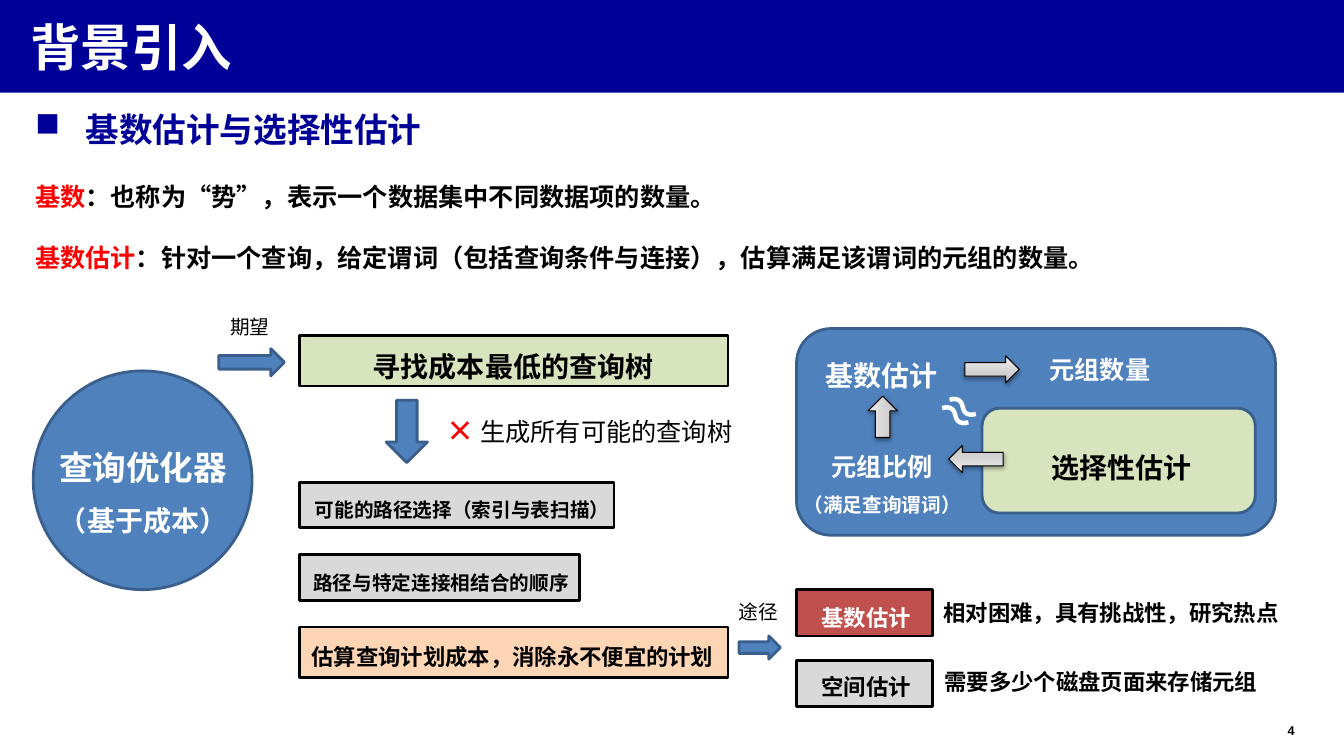
from dataclasses import dataclass
from typing import Optional, Union

from lxml.etree import SubElement
from pptx import Presentation
from pptx.dml.color import RGBColor
from pptx.enum.shapes import MSO_SHAPE as SHAPE
from pptx.enum.text import MSO_ANCHOR, MSO_AUTO_SIZE, PP_ALIGN
from pptx.oxml import parse_xml
from pptx.oxml.ns import nsdecls, qn
from pptx.util import Inches, Pt

COLORS = {
    "navy": "000099", "white": "FFFFFF", "black": "000000", "red": "FF0000",
    "blue": "4F81BD", "edge": "3A5F8C", "gray": "D9D9D9", "peach": "FCD5B5",
    "green": "D7E4BD", "brick": "C0504D",
}
CJK = "Noto Sans CJK SC"
CENTER = PP_ALIGN.CENTER
GRAD = f"""<a:gradFill {nsdecls("a")} rotWithShape="1"><a:gsLst>
<a:gs pos="0"><a:srgbClr val="BDBDBD"/></a:gs>
<a:gs pos="35000"><a:srgbClr val="D1D1D1"/></a:gs>
<a:gs pos="100000"><a:srgbClr val="EEEEEE"/></a:gs>
</a:gsLst><a:lin ang="16200000" scaled="0"/></a:gradFill>"""
SHADOW = f"""<a:effectLst {nsdecls("a")}>
<a:outerShdw blurRad="40000" dist="20000" dir="5400000" rotWithShape="0">
<a:srgbClr val="000000"><a:alpha val="38000"/></a:srgbClr>
</a:outerShdw></a:effectLst>"""

Area = tuple[float, float, float, float]


@dataclass
class Run:
    text: str
    size: Optional[float] = None
    color: Optional[str] = None
    bold: Optional[bool] = None
    font: Optional[str] = None


@dataclass
class Block:
    kind: SHAPE
    at: Area
    fill: str
    line: str = "edge"


@dataclass
class Label:
    at: Area
    text: Union[str, list[list[Run]]]
    size: float
    color: str = "black"
    bold: bool = True
    font: str = CJK
    align: Optional[PP_ALIGN] = None
    gap: Union[float, Pt, None] = None
    turn: float = 0


def rgb(name: str) -> RGBColor:
    return RGBColor.from_string(COLORS[name])


def write(frame, text, *, size=18, color="black", bold=True, font=CJK,
          align=None, gap=None, bullet=None, inset=None) -> None:
    """Fill a text frame; text is a string or a list of lists of runs."""
    frame.word_wrap = True
    frame.auto_size = MSO_AUTO_SIZE.SHAPE_TO_FIT_TEXT
    if inset is not None:
        frame.margin_left = Inches(inset)
        frame.margin_right = frame.margin_top = frame.margin_bottom = 0
    paras = [[Run(text)]] if isinstance(text, str) else text
    for i, runs in enumerate(paras):
        para = frame.add_paragraph() if i else frame.paragraphs[0]
        para.alignment = align
        if gap is not None:
            para.line_spacing = gap
        if bullet:
            props = para._p.get_or_add_pPr()
            props.set("marL", str(Inches(0.5)))
            props.set("indent", str(-Inches(0.5)))
            SubElement(props, qn("a:buChar")).set("char", bullet)
        for item in runs:
            run = para.add_run()
            run.text = item.text
            run.font.size = Pt(item.size or size)
            run.font.bold = bold if item.bold is None else item.bold
            run.font.color.rgb = rgb(item.color or color)
            run.font.name = item.font or font
            SubElement(run._r.get_or_add_rPr(), qn("a:ea")).set("typeface", CJK)


def place(shape, at: Area) -> None:
    shape.left, shape.top, shape.width, shape.height = map(Inches, at)


def draw(slide, block: Block):
    shape = slide.shapes.add_shape(block.kind, *map(Inches, block.at))
    shape.shadow.inherit = False
    shape.fill.solid()
    shape.fill.fore_color.rgb = rgb(block.fill)
    shape.line.color.rgb = rgb(block.line)
    shape.line.width = Pt(2)
    return shape


def gloss(slide, at: Area, turn: float) -> None:
    """Draw a silver arrow with a soft shadow."""
    shape = draw(slide, Block(SHAPE.RIGHT_ARROW, at, "gray", "black"))
    shape.line.width = Pt(0.75)
    shape.rotation = turn
    props = shape._element.spPr
    for tag, xml in (("a:solidFill", GRAD), ("a:effectLst", SHADOW)):
        props.replace(props.find(qn(tag)), parse_xml(xml))


def label(slide, item: Label, **more) -> None:
    box = slide.shapes.add_textbox(*map(Inches, item.at))
    box.rotation = item.turn
    write(box.text_frame, item.text, size=item.size, color=item.color,
          bold=item.bold, font=item.font, align=item.align, gap=item.gap, **more)


def term(word: str, text: str) -> list[list[Run]]:
    return [[Run(word, color="red"), Run(text, font="Calibri")]]


BLOCKS = [
    # Optimizer and its goal
    Block(SHAPE.OVAL, (0.33, 3.68, 2.17, 2.17), "blue"),
    Block(SHAPE.RIGHT_ARROW, (2.17, 3.46, 0.65, 0.27), "blue"),
    Block(SHAPE.RECTANGLE, (2.97, 3.33, 4.25, 0.5), "green", "black"),
    Block(SHAPE.DOWN_ARROW, (3.83, 3.97, 0.41, 0.62), "blue"),
    # Plan steps
    Block(SHAPE.RECTANGLE, (2.97, 4.79, 3.12, 0.44), "gray", "black"),
    Block(SHAPE.RECTANGLE, (2.97, 5.5, 2.78, 0.46), "gray", "black"),
    Block(SHAPE.RECTANGLE, (2.97, 6.22, 4.25, 0.5), "peach", "black"),
    # Ways to estimate
    Block(SHAPE.RIGHT_ARROW, (7.33, 6.31, 0.41, 0.23), "blue"),
    Block(SHAPE.RECTANGLE, (7.9, 5.85, 1.35, 0.46), "brick", "black"),
    Block(SHAPE.RECTANGLE, (7.9, 6.55, 1.35, 0.46), "gray", "black"),
    # Estimation panel
    Block(SHAPE.ROUNDED_RECTANGLE, (7.9, 3.26, 4.75, 2.05), "blue"),
    Block(SHAPE.ROUNDED_RECTANGLE, (9.74, 4.05, 2.71, 1.04), "green"),
]
ARROWS = [((9.41, 4.42, 0.54, 0.27), 180), ((8.55, 3.99, 0.41, 0.29), 270),
          ((9.57, 3.53, 0.54, 0.27), 0)]
LABELS = [
    # Definitions
    Label((0.25, 1.75, 9.42, 0.4),
          term("基数", "：也称为“势”，表示一个数据集中不同数据项的数量。"), 18),
    Label((0.25, 2.35, 10.83, 0.4),
          term("基数估计", "：针对一个查询，给定谓词（包括查询条件与连接），估算满足该谓词的元组的数量。"), 18),
    # Optimizer and its goal
    Label((0.43, 4.18, 1.98, 1.16), [[Run("查询优化器")], [Run("（基于成本）", 20)]],
          24, "white", align=CENTER, gap=1.5),
    Label((1.58, 3.08, 1.8, 0.34), "期望", 14, bold=False, align=CENTER),
    Label((2.81, 3.25, 4.56, 0.55), "寻找成本最低的查询树", 20, align=CENTER, gap=1.5),
    Label((4.33, 4.05, 3.09, 0.44),
          [[Run("×", 20, "red", True), Run(" ", color="red"),
            Run("生成所有可能的查询树", font="Calibri")]], 18, bold=False),
    # Plan steps
    Label((2.5, 4.77, 4.17, 0.42), "可能的路径选择（索引与表扫描）", 14, align=CENTER, gap=1.5),
    Label((3.01, 5.5, 2.83, 0.42), "路径与特定连接相结合的顺序", 14, gap=1.5),
    Label((2.41, 6.2, 5.35, 0.46), "估算查询计划成本，消除永不便宜的计划", 16,
          align=CENTER, gap=1.5),
    # Ways to estimate
    Label((6.62, 5.9, 1.8, 0.34), "途径", 14, bold=False, align=CENTER),
    Label((8.05, 5.81, 1.2, 0.46), "基数估计", 16, "white", gap=1.5),
    Label((8.05, 6.5, 1.2, 0.46), "空间估计", 16, gap=1.5),
    Label((9.26, 5.89, 3.67, 0.37), "相对困难，具有挑战性，研究热点", 16),
    Label((9.27, 6.58, 3.41, 0.37), "需要多少个磁盘页面来存储元组", 16),
    # Estimation panel
    Label((8.09, 3.34, 1.43, 0.55), "基数估计", 20, "white", gap=1.5),
    Label((10.33, 4.25, 1.68, 0.55), "选择性估计", 20, gap=1.5),
    Label((10.31, 3.47, 1.33, 0.4), "元组数量", 18, "white", font="Calibri"),
    Label((7.85, 4.38, 1.8, 0.76), [[Run("元组比例")], [Run("（满足查询谓词）", 14)]],
          18, "white", font="Calibri", align=CENTER, gap=Pt(25)),
    Label((9.2, 3.76, 0.65, 0.64), "≈", 32, "white", turn=41.6),
]


def main() -> None:
    deck = Presentation()
    deck.slide_width, deck.slide_height = Inches(13.33), Inches(7.5)
    slide = deck.slides.add_slide(deck.slide_layouts[5])

    # Banner behind the title
    banner = draw(slide, Block(SHAPE.RECTANGLE, (0, 0, 13.33, 0.92), "navy"))
    banner.line.fill.background()
    title = slide.shapes.title
    title._element.addprevious(banner._element)
    place(title, (0.25, 0.16, 5.75, 0.61))
    title.text_frame.vertical_anchor = MSO_ANCHOR.TOP
    write(title.text_frame, "背景引入", size=36, color="white", font="Arial",
          align=PP_ALIGN.LEFT, inset=0.05)

    # Heading and page number
    label(slide, Label((0.25, 1.03, 5.5, 0.5), "基数估计与选择性估计", 24, "navy"),
          bullet="■")
    label(slide, Label((12.74, 7.17, 0.26, 0.15), "4", 9, font="Arial"), inset=0.03)

    # Diagram
    for block in BLOCKS:
        draw(slide, block)
    for at, turn in ARROWS:
        gloss(slide, at, turn)
    for item in LABELS:
        label(slide, item)
    deck.save("out.pptx")


if __name__ == "__main__":
    main()
